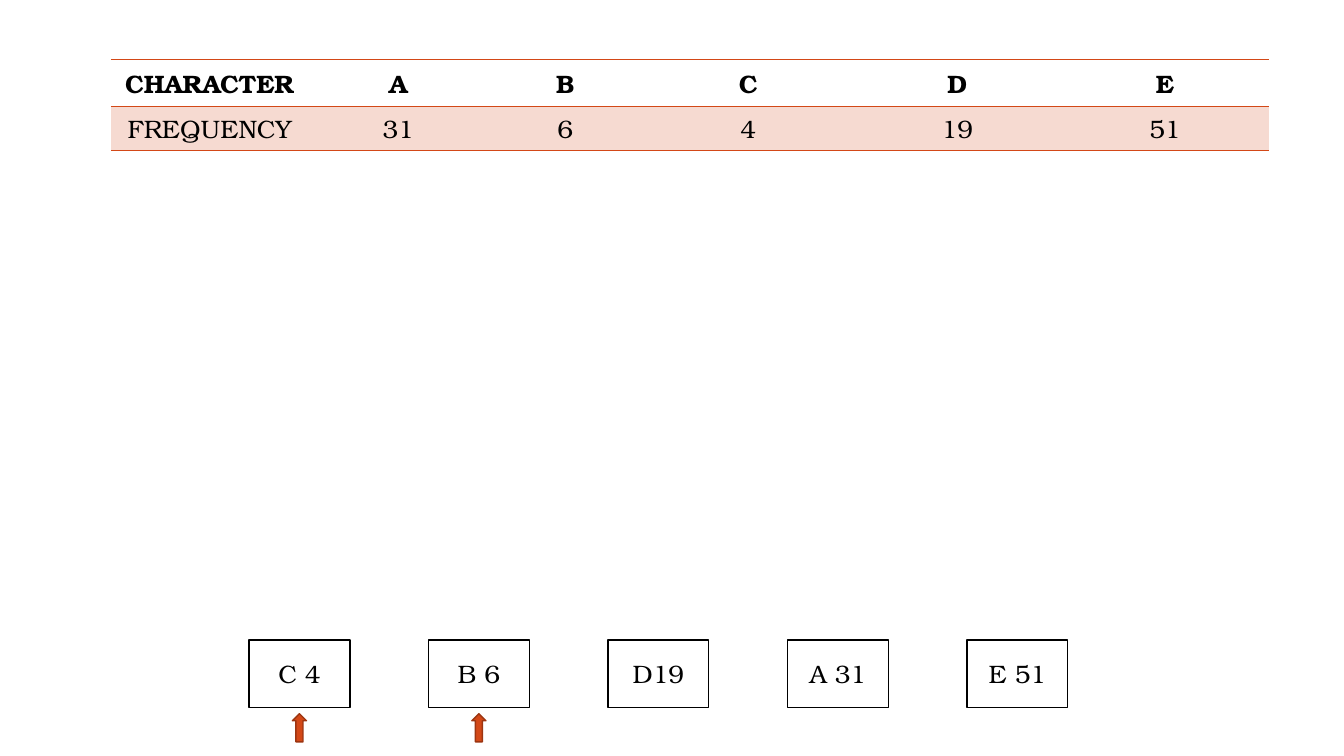
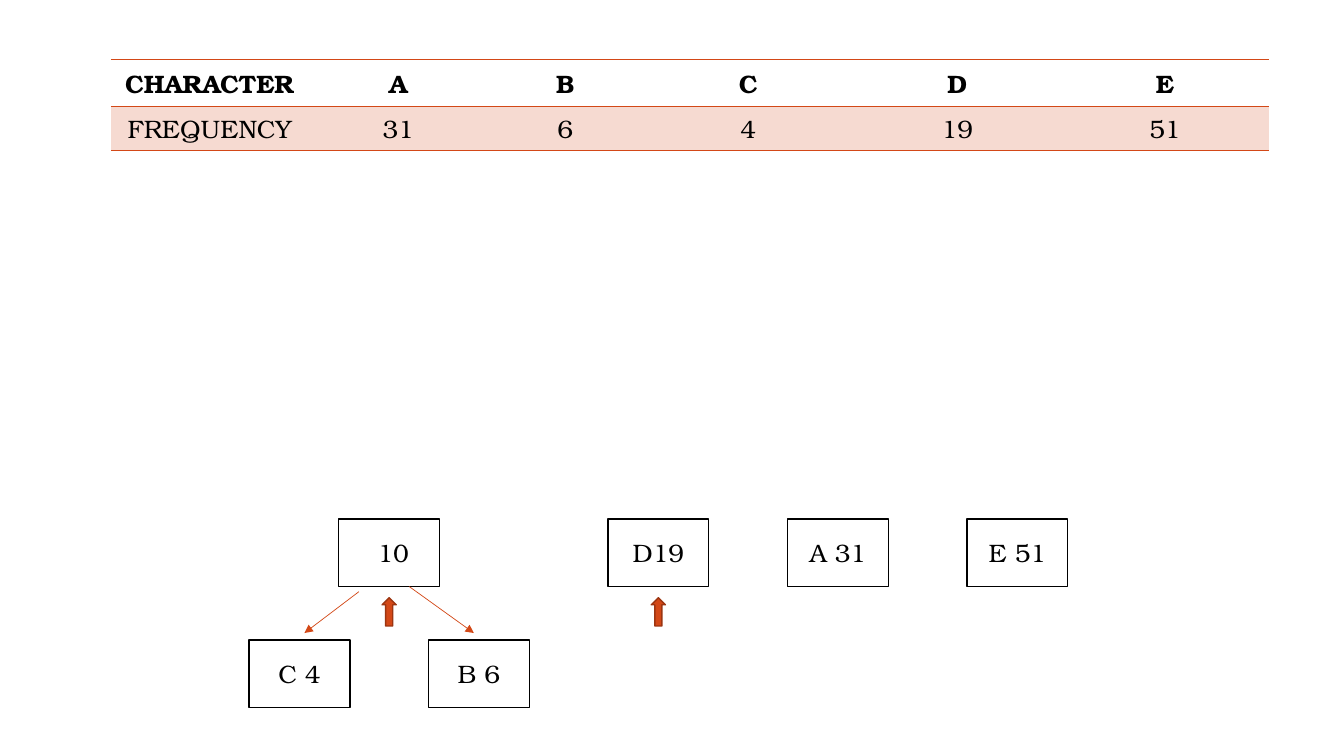
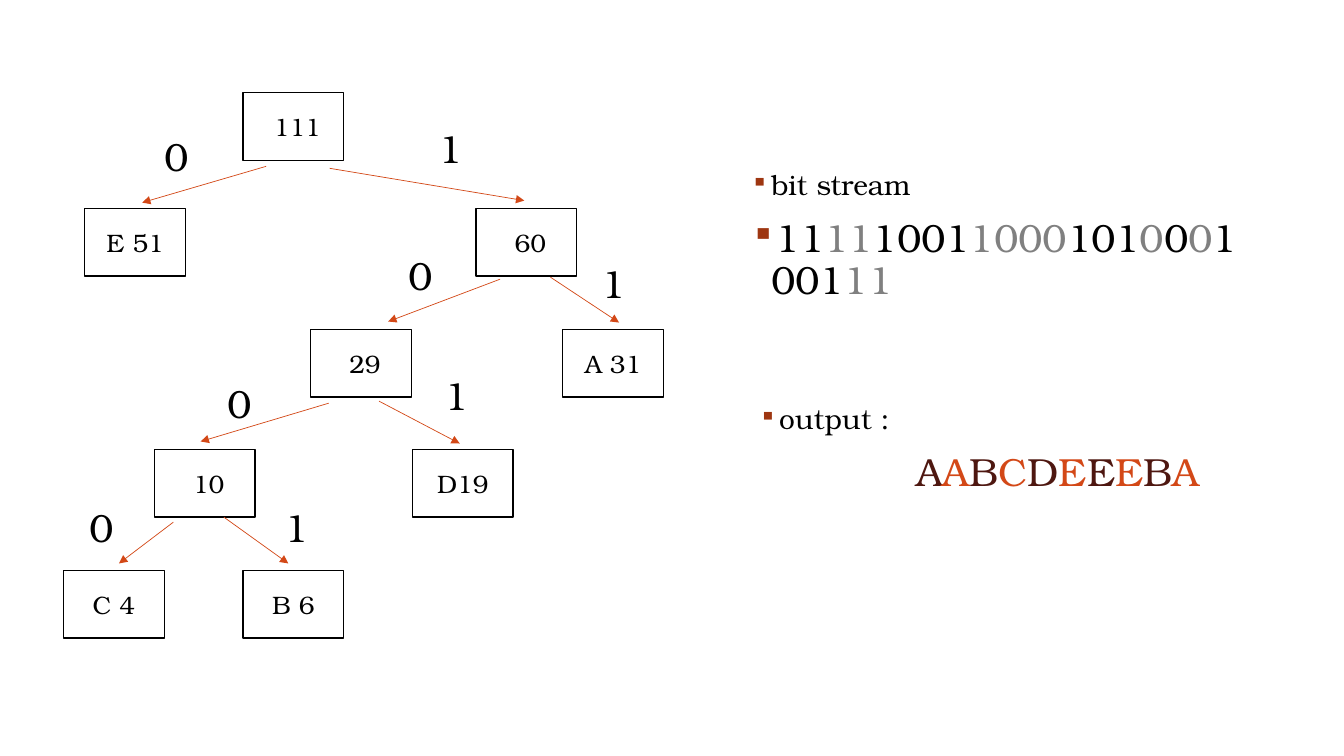
import pptx
import pptx.dml.color
import pptx.enum.shapes
import pptx.enum.text
import pptx.oxml
import pptx.oxml.ns
import pptx.util
from lxml import etree

SLIDE_SIZE = (13.33, 7.5)
FONT = "TeX Gyre Bonum"
BLACK, WHITE, GREY = "000000", "FFFFFF", "808080"
ORANGE, RUST, BULLET, BROWN, BLUSH = "D34817", "9C3511", "9E3611", "4E1710", "F6DAD1"

FREQUENCIES = [
    ["CHARACTER", "A", "B", "C", "D", "E"],
    ["FREQUENCY", "31", "6", "4", "19", "51"],
]
FREQUENCY_COLUMNS = [1.96, 1.78, 1.53, 2.1, 2.05, 2.07]
FREQUENCY_PLACE, FREQUENCY_ROW = (1.1, 0.59), 0.41

NODE_W, NODE_H = 1.0, 0.67
QUEUE_LEFT, QUEUE_STEP = 2.47, 1.78
LEAF_TOP, MERGED_TOP = 6.35, 5.15

# Queue entries: label, column, top, marked as one of the two smallest
FIRST_QUEUE = [
    ("C 4", 0, LEAF_TOP, True),
    ("B 6", 1, LEAF_TOP, True),
    ("D19", 2, LEAF_TOP, False),
    ("A 31", 3, LEAF_TOP, False),
    ("E 51", 4, LEAF_TOP, False),
]
SECOND_QUEUE = [
    ("C 4", 0, LEAF_TOP, False),
    ("B 6", 1, LEAF_TOP, False),
    ("D19", 2, MERGED_TOP, True),
    ("A 31", 3, MERGED_TOP, False),
    ("E 51", 4, MERGED_TOP, False),
    (" 10", 0.5, MERGED_TOP, True),
]
QUEUES = [(FIRST_QUEUE, 0.06, False), (SECOND_QUEUE, 0.11, True)]

TREE_TOPS = [0.92, 2.07, 3.27, 4.46, 5.66]
# Tree nodes: label, left, level
TREE_NODES = [
    ("C 4", 0.63, 4), ("B 6", 2.41, 4),
    ("D19", 4.09, 3), (" 10", 1.53, 3),
    ("A 31", 5.58, 2), (" 29", 3.08, 2),
    ("E 51", 0.84, 1), (" 60", 4.72, 1),
    (" 111", 2.41, 0),
]
# Branches: bit, start, end, place of the bit
BRANCHES = [
    ("1", (3.27, 1.67), (5.2, 1.99), (3.94, 1.18)),
    ("0", (2.64, 1.65), (1.41, 2.01), (1.23, 1.26)),
    ("0", (4.96, 2.77), (3.85, 3.19), (3.65, 2.44)),
    ("1", (5.46, 2.75), (6.14, 3.2), (5.56, 2.52)),
    ("0", (3.26, 4.0), (1.99, 4.38), (1.85, 3.71)),
    ("1", (3.76, 3.98), (4.56, 4.4), (4.0, 3.63)),
    ("0", (1.72, 5.18), (1.18, 5.59), (0.48, 4.94)),
    ("1", (2.22, 5.13), (2.86, 5.59), (2.42, 4.94)),
]
MERGE_BRANCHES = BRANCHES[-2:]
MERGE_SHIFT = (QUEUE_LEFT - TREE_NODES[0][1], LEAF_TOP - TREE_TOPS[4])

BITS = ["11", "11", "1001", "1000", "101", "0", "0", "0", "1001", "11"]
BIT_COLOURS = [BLACK, GREY, BLACK, GREY, BLACK, GREY, BLACK, GREY, BLACK, GREY]
DECODED = "AABCDEEEBA"
HANGING, DECODED_INDENT = 0.2, 1.56
# Paragraphs: size, bulleted, runs of (text, colour)
OUTPUT = [
    (20, True, [("output :", BLACK)]),
    (28, False, [(c, (BROWN, ORANGE)[i % 2]) for i, c in enumerate(DECODED)]),
]
BIT_STREAM = [
    (20, True, [("bit stream", BLACK)]),
    (28, True, list(zip(BITS, BIT_COLOURS))),
]
NOTES = [(OUTPUT, (7.43, 3.97, 5.23, 1.93)), (BIT_STREAM, (7.35, 1.65, 5.23, 2.28))]


def inches(*lengths):
    return [pptx.util.Inches(length) for length in lengths]


def rgb(colour):
    return pptx.dml.color.RGBColor.from_string(colour)


def style_text(paragraph, size, bold=False):
    paragraph.alignment = pptx.enum.text.PP_ALIGN.CENTER
    font = paragraph.font
    font.name, font.size, font.bold = FONT, pptx.util.Pt(size), bold
    font.color.rgb = rgb(BLACK)


def add_block(slide, preset, place, fill, line):
    block = slide.shapes.add_shape(preset, *inches(*place))
    block.shadow.inherit = False
    block.fill.solid()
    block.fill.fore_color.rgb = rgb(fill)
    block.line.color.rgb = rgb(line)
    block.line.width = pptx.util.Pt(1)
    return block


def add_node(slide, label, left, top):
    node = add_block(slide, pptx.enum.shapes.MSO_SHAPE.FLOWCHART_PROCESS,
                     (left, top, NODE_W, NODE_H), WHITE, BLACK)
    node.text_frame.text = label
    node.text_frame.vertical_anchor = pptx.enum.text.MSO_ANCHOR.MIDDLE
    style_text(node.text_frame.paragraphs[0], 18)


def add_marker(slide, left, top, gap):
    """Up arrow centred below the node at left, top."""
    width, height = 0.14, 0.28
    place = (left + (NODE_W - width) / 2, top + NODE_H + gap, width, height)
    add_block(slide, pptx.enum.shapes.MSO_SHAPE.UP_ARROW, place, ORANGE, RUST)


def add_branch(slide, start, end, shift=(0, 0)):
    ends = [point + move for pair in (start, end) for point, move in zip(pair, shift)]
    branch = slide.shapes.add_connector(
        pptx.enum.shapes.MSO_CONNECTOR.STRAIGHT, *inches(*ends))
    branch.line.color.rgb = rgb(ORANGE)
    branch.line.width = pptx.util.Pt(0.5)
    etree.SubElement(branch.line._get_or_add_ln(),
                     pptx.oxml.ns.qn("a:tailEnd"), type="triangle")
    etree.SubElement(branch._element.spPr, pptx.oxml.ns.qn("a:effectLst"))


def add_bit(slide, bit, place):
    frame = slide.shapes.add_textbox(*inches(*place, 1.05, 0.57)).text_frame
    frame.word_wrap = True
    frame.text = bit
    style_text(frame.paragraphs[0], 28)


def set_border(cell, sides):
    """Draw the named sides, in schema order, and clear the others."""
    for index, side in enumerate("LRTB"):
        paint = (f'<a:solidFill><a:srgbClr val="{ORANGE}"/></a:solidFill>'
                 if side in sides else "<a:noFill/>")
        border = pptx.oxml.parse_xml(
            f'<a:ln{side} {pptx.oxml.ns.nsdecls("a")} w="12700">{paint}</a:ln{side}>')
        cell._tc.get_or_add_tcPr().insert(index, border)


def add_frequencies(slide):
    rows, columns = len(FREQUENCIES), len(FREQUENCY_COLUMNS)
    size = (sum(FREQUENCY_COLUMNS), rows * FREQUENCY_ROW)
    table = slide.shapes.add_table(
        rows, columns, *inches(*FREQUENCY_PLACE, *size)).table
    table.horz_banding = False
    for column, width in zip(table.columns, inches(*FREQUENCY_COLUMNS)):
        column.width = width
    for r, texts in enumerate(FREQUENCIES):
        for c, text in enumerate(texts):
            cell = table.cell(r, c)
            cell.text = text
            style_text(cell.text_frame.paragraphs[0], 18, bold=r == 0)
            cell.fill.solid()
            cell.fill.fore_color.rgb = rgb((WHITE, BLUSH)[r])
            set_border(cell, "TB")


def set_indent(paragraph, bulleted):
    properties = paragraph._p.get_or_add_pPr()
    if not bulleted:
        properties.set("marL", str(pptx.util.Inches(DECODED_INDENT)))
        return
    properties.set("marL", str(pptx.util.Inches(HANGING)))
    properties.set("indent", str(-pptx.util.Inches(HANGING)))
    colour = etree.SubElement(properties, pptx.oxml.ns.qn("a:buClr"))
    etree.SubElement(colour, pptx.oxml.ns.qn("a:srgbClr"), val=BULLET)
    etree.SubElement(properties, pptx.oxml.ns.qn("a:buSzPct"), val="85000")
    etree.SubElement(properties, pptx.oxml.ns.qn("a:buChar"), char="▪")


def add_note(slide, paragraphs, place):
    frame = slide.shapes.add_textbox(*inches(*place)).text_frame
    frame.word_wrap = True
    for index, (size, bulleted, runs) in enumerate(paragraphs):
        paragraph = frame.add_paragraph() if index else frame.paragraphs[0]
        paragraph.line_spacing = 0.9
        paragraph.space_before = pptx.util.Pt(12)
        set_indent(paragraph, bulleted)
        paragraph.font.name, paragraph.font.size = FONT, pptx.util.Pt(size)
        for text, colour in runs:
            run = paragraph.add_run()
            run.text = text
            run.font.color.rgb = rgb(colour)


def build_queue(slide, queue, gap, merged):
    add_frequencies(slide)
    for label, column, top, marked in queue:
        left = QUEUE_LEFT + column * QUEUE_STEP
        add_node(slide, label, left, top)
        if marked:
            add_marker(slide, left, top, gap)
    if merged:
        for _, start, end, _ in MERGE_BRANCHES:
            add_branch(slide, start, end, MERGE_SHIFT)


def build_tree(slide):
    for label, left, level in TREE_NODES:
        add_node(slide, label, left, TREE_TOPS[level])
    for bit, start, end, bit_place in BRANCHES:
        add_branch(slide, start, end)
        add_bit(slide, bit, bit_place)
    for paragraphs, place in NOTES:
        add_note(slide, paragraphs, place)


def main():
    deck = pptx.Presentation()
    deck.slide_width, deck.slide_height = inches(*SLIDE_SIZE)
    blank = deck.slide_layouts[6]
    for queue, gap, merged in QUEUES:
        build_queue(deck.slides.add_slide(blank), queue, gap, merged)
    build_tree(deck.slides.add_slide(blank))
    deck.save("out.pptx")


if __name__ == "__main__":
    main()
